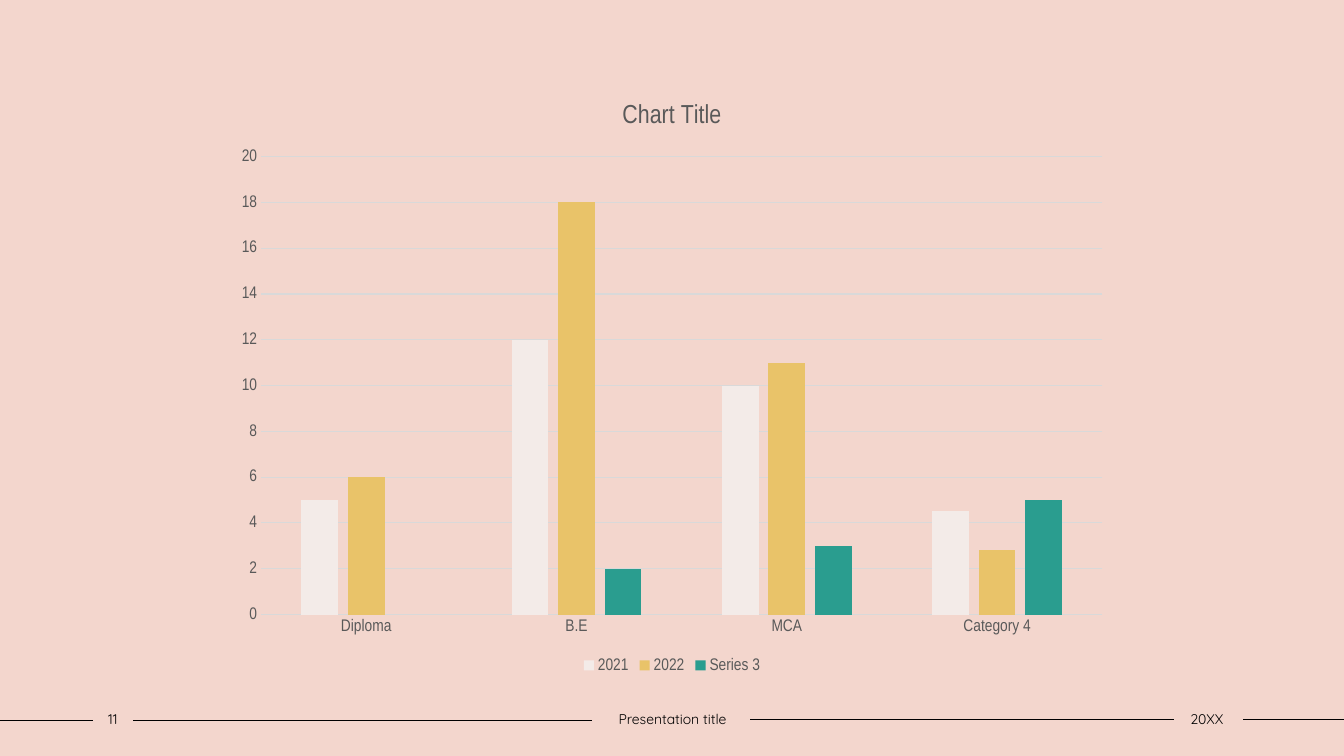
from pptx import Presentation
from pptx.chart.data import CategoryChartData
from pptx.dml.color import RGBColor
from pptx.enum import chart as ch, shapes, text
from pptx.oxml.ns import qn
from pptx.util import Inches, Pt
from lxml import etree


def paint(target, color):
    """Give a fill or line format a solid colour."""
    fill = getattr(target, "fill", target)
    fill.solid()
    fill.fore_color.rgb = RGBColor.from_string(color)


def style_font(font, name, size, color):
    font.name, font.size, font.bold = name, Pt(size), False
    font.color.rgb = RGBColor.from_string(color)


prs = Presentation()
prs.slide_width, prs.slide_height = Inches(13.33), Inches(7.5)
slide = prs.slides.add_slide(prs.slide_layouts[6])
paint(slide.background, "F3D6CD")

# Footer rules
for start, end, y in [(0, 0.92, 7.15), (1.32, 5.87, 7.15),
                      (7.44, 11.64, 7.14), (12.33, 13.33, 7.14)]:
    rule = slide.shapes.add_connector(shapes.MSO_CONNECTOR.STRAIGHT,
                                      Inches(start), Inches(y), Inches(end), Inches(y))
    paint(rule.line, "000000")
    rule.line.width = Pt(1)
    etree.SubElement(rule._element.spPr, qn("a:effectLst"))

# Footer texts
for left, width, words in [(0.92, 0.4, "11"), (5.87, 1.6, "Presentation title"),
                           (11.62, 0.7, "20XX")]:
    frame = slide.shapes.add_textbox(Inches(left), Inches(7), Inches(width),
                                     Inches(0.27)).text_frame
    frame.word_wrap = True
    frame.margin_left = frame.margin_right = 0
    frame.vertical_anchor = text.MSO_ANCHOR.MIDDLE
    footer = frame.paragraphs[0]
    footer.text = words
    footer.alignment = text.PP_ALIGN.CENTER
    style_font(footer.font, "Quicksand", 10, "000000")

# Column chart
students = CategoryChartData()
students.categories = ["Diploma", "B.E", "MCA", "Category 4"]
students.add_series("2021", (5, 12, 10, 4.5))
students.add_series("2022", (6, 18, 11, 2.8))
students.add_series("Series 3", (None, 2, 3, 5))
chart = slide.shapes.add_chart(ch.XL_CHART_TYPE.COLUMN_CLUSTERED, Inches(2.22), Inches(0.79),
                               Inches(8.89), Inches(5.93), students).chart
style_font(chart.font, "Arial Narrow", 10, "000000")

columns = chart.plots[0]
columns.gap_width, columns.overlap = 219, -27
columns.vary_by_categories = False
for series, color in zip(columns.series, ["F3EBE8", "E9C369", "2A9D8F"]):
    paint(series.format, color)
    series.invert_if_negative = False

# Chart title and legend
chart.has_title = True
chart.chart_title.include_in_layout = False
heading = chart.chart_title.text_frame
heading.text = "Chart Title"
style_font(heading.paragraphs[0].font, "Arial Narrow", 18.6, "595959")
chart.has_legend = True
chart.legend.position = ch.XL_LEGEND_POSITION.BOTTOM
chart.legend.include_in_layout = False
style_font(chart.legend.font, "Arial Narrow", 12, "595959")

# Axes and gridlines
categories, values = chart.category_axis, chart.value_axis
for axis in (categories, values):
    axis.major_tick_mark = axis.minor_tick_mark = ch.XL_TICK_MARK.NONE
    style_font(axis.tick_labels.font, "Arial Narrow", 12, "595959")
values.minimum_scale, values.maximum_scale, values.major_unit = 0, 20, 2
values.format.line.fill.background()
for line in (categories.format.line, values.major_gridlines.format.line):
    paint(line, "D9D9D9")
    line.width = Pt(0.75)

prs.save("out.pptx")
